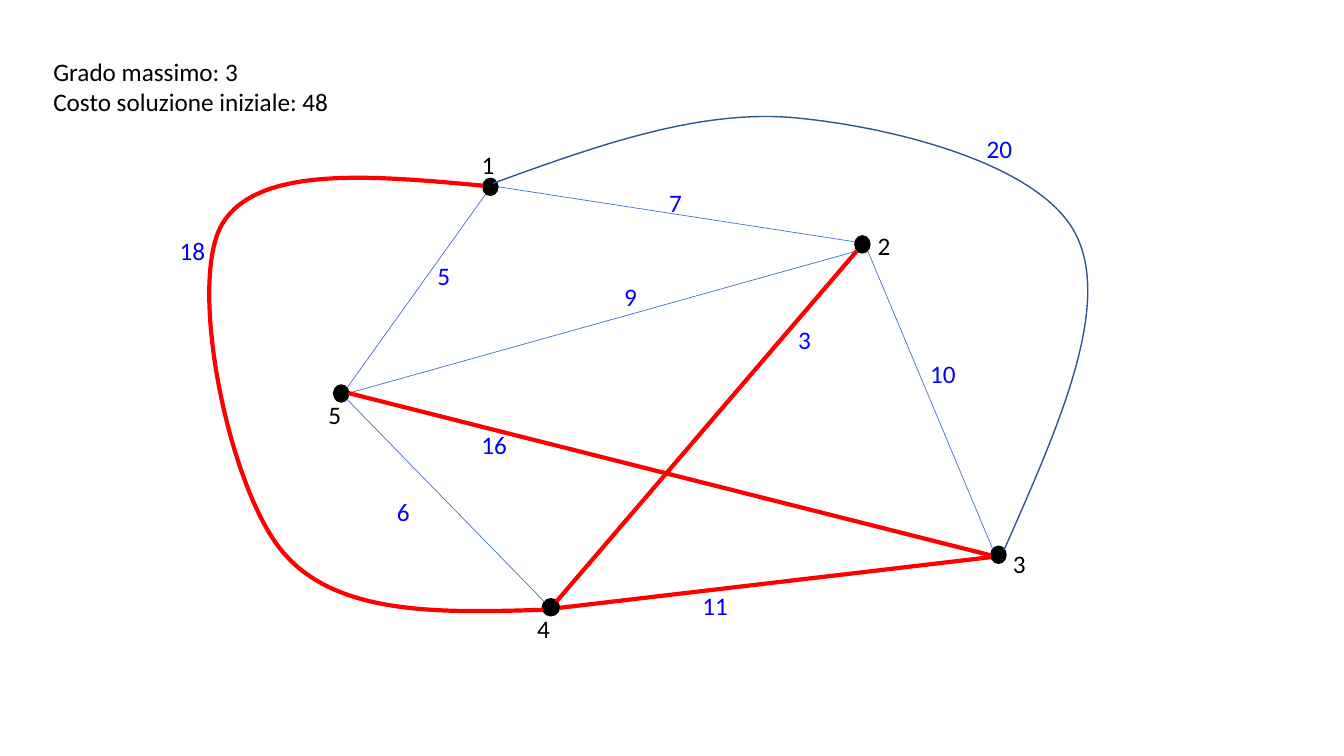
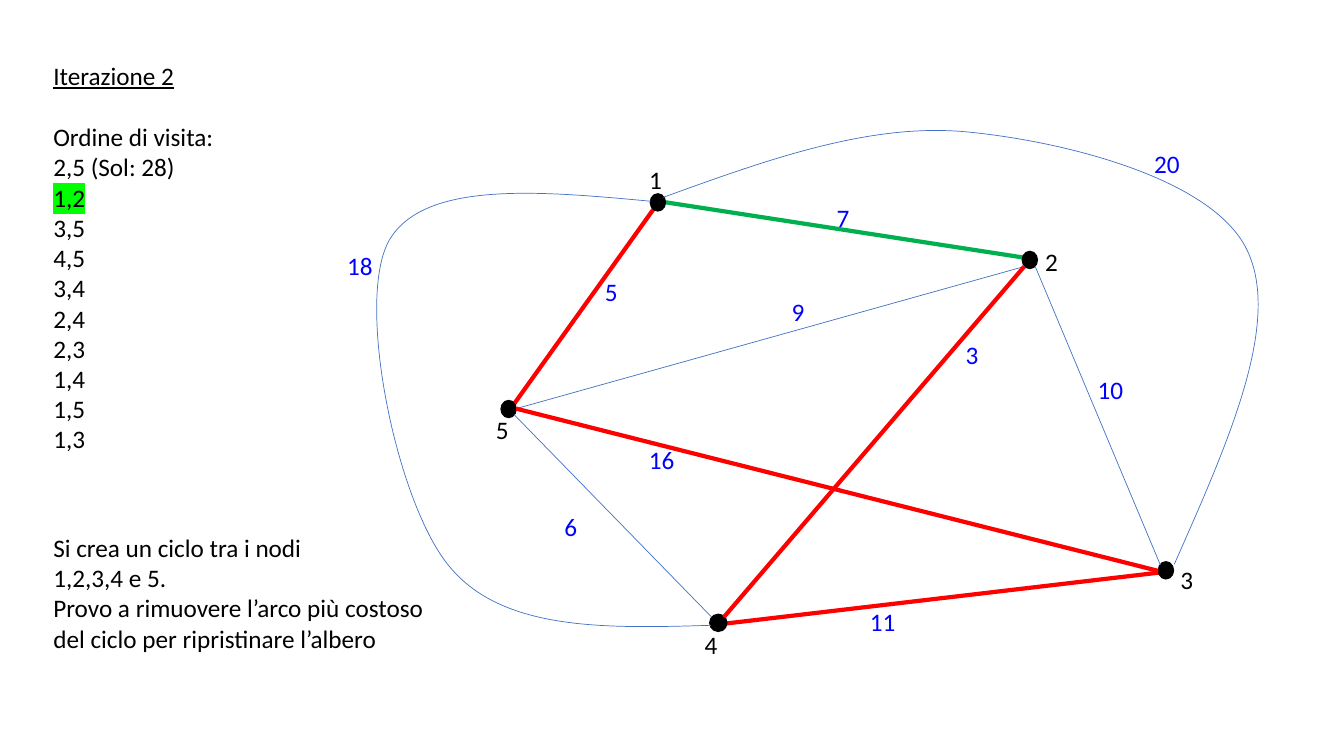
from lxml.etree import SubElement
from pptx import Presentation
from pptx.dml.color import RGBColor
from pptx.enum.shapes import MSO_CONNECTOR, MSO_SHAPE
from pptx.enum.text import MSO_AUTO_SIZE
from pptx.oxml.ns import qn
from pptx.util import Pt

BLACK = RGBColor(0x00, 0x00, 0x00)
COST_BLUE = RGBColor(0x00, 0x00, 0xFF)
EDGE_BLUE = RGBColor(0x44, 0x72, 0xC4)
DARK_BLUE = RGBColor(0x32, 0x54, 0x91)
RED = RGBColor(0xFF, 0x00, 0x00)
GREEN = RGBColor(0x00, 0xB0, 0x50)
HIGHLIGHT = "00FF00"

FONT = "Calibri"
FONT_SIZE = 18
LINE_HEIGHT = 22
LABEL_HEIGHT = 29.08
LABEL_WIDTHS = {1: 23.8, 2: 33.1}

# Edge styles: colour and width
PLAIN = (EDGE_BLUE, 0.5)
OUTLINED = (DARK_BLUE, 1)
CHOSEN = (RED, 3)
ADDED = (GREEN, 3)

# Node: left, top, width, then left and top of its label
NODES = {
    "1": (344.9, 127.4, 10.8, 337, 103),
    "2": (610.6, 168.5, 10.8, 619.9, 161.3),
    "3": (707.8, 390.2, 10.8, 716.4, 388.1),
    "4": (387.4, 427.7, 12.2, 376.6, 434.9),
    "5": (238.3, 275, 10.8, 227.5, 281.5),
}
NODE_HEIGHT = 12.2
START_CAP = (345.6, 128.2, 5.8, 10.1)

# Edge: cost, left and top of the cost, then end points;
# more than two points are cubic curves
BACK_EDGES = {
    "3,4": ("11", 494.6, 418.3, [(399.6, 434.2), (718.6, 396.7)]),
    "1,5": ("5", 305.3, 182.7, [(347.8, 137.5), (246.2, 279.4)]),
    "1,2": ("7", 470.9, 130.2, [(349.9, 132.5), (615.6, 173.5)]),
}
FRONT_EDGES = {
    "2,3": ("10", 657.4, 252.7, [(619.9, 179.3), (709.2, 392.4)]),
    "4,5": ("6", 276.5, 350.8, [(247.7, 285.1), (388.8, 429.8)]),
    "2,5": ("9", 438.7, 197.3, [(249.1, 280.8), (612, 179.3)]),
    "2,4": ("3", 563, 228.1, [(397.4, 429.8), (612, 179.3)]),
    "1,4": ("18", 121.2, 164.2, [
        (350.6, 133.2), (267.1, 125.3), (183.6, 117.4), (158.4, 160.6),
        (133.9, 203.8), (163.4, 348.5), (201.6, 393.8),
        (239.8, 439.9), (313.9, 437.8), (388.1, 435.6)]),
    "3,5": ("16", 336.8, 303.1, [(249.1, 280.8), (707.8, 396.7)]),
    "1,3": ("20", 697.7, 91.4, [
        (352.1, 131), (425.5, 104.4), (499, 77.8), (568.1, 84.2),
        (637.9, 90.7), (744.5, 117.4), (769, 168.5),
        (794.2, 220.3), (755.3, 306.7), (717.1, 393.1)]),
}

# Bounds of the curved edges: left, top, width, height
CURVE_BOUNDS = {
    "1,4": (149.8, 126.7, 239, 309.6),
    "1,3": (352.1, 83.5, 424.8, 309.6),
}

# Text block: left, top, width, height, lines
SUMMARY = (31, 36.7, 213.1, 51.1,
           ["Grado massimo: 3", "Costo soluzione iniziale: 48"])
VISIT_ORDER = (31, 39.6, 130.3, 312.5, [
    "Iterazione 2", "Ordine di visita:", "2,5 (Sol: 28)", "1,2", "3,5", "4,5",
    "3,4", "2,4", "2,3", "1,4", "1,5", "1,3"])
CYCLE_NOTE = (31, 376.6, 281.5, 94.3, [
    "Si crea un ciclo tra i nodi", "1,2,3,4 e 5.",
    "Provo a rimuovere l’arco più costoso",
    "del ciclo per ripristinare l’albero"])

INITIAL_STYLES = {"3,4": CHOSEN, "2,4": CHOSEN, "3,5": CHOSEN,
                  "1,4": CHOSEN, "1,3": OUTLINED}
ITERATION_STYLES = {"3,4": CHOSEN, "2,4": CHOSEN, "3,5": CHOSEN,
                    "1,5": CHOSEN, "1,2": ADDED}
ITERATION_SHIFT = (119.6, 11.1)
ITERATION_EDGE_SHIFTS = {"1,3": (121.7, 10)}


def add_text(slide, left, top, width, height, lines, color=BLACK):
    """Add an unwrapped block with one paragraph per line."""
    block = slide.shapes.add_textbox(Pt(left), Pt(top), Pt(width), Pt(height))
    frame = block.text_frame
    frame.word_wrap = False
    frame.auto_size = MSO_AUTO_SIZE.SHAPE_TO_FIT_TEXT
    frame.text = "\n".join(lines)
    for paragraph in frame.paragraphs:
        paragraph.font.name = FONT
        paragraph.font.size = Pt(FONT_SIZE)
        paragraph.font.color.rgb = color
    return frame.paragraphs


def add_label(slide, text, left, top, color):
    """Add a number beside a node or an edge."""
    add_text(slide, left, top, LABEL_WIDTHS[len(text)], LABEL_HEIGHT, [text], color)


def add_dot(slide, left, top, width, height):
    """Add a black ellipse."""
    dot = slide.shapes.add_shape(
        MSO_SHAPE.OVAL, Pt(left), Pt(top), Pt(width), Pt(height))
    dot.shadow.inherit = False
    dot.fill.solid()
    dot.fill.fore_color.rgb = BLACK
    dot.line.color.rgb = BLACK
    dot.line.width = Pt(1)


def add_curve(slide, controls, bounds):
    """Add joined cubic curves whose frame is the given bounds."""
    start, *others = [(Pt(x), Pt(y)) for x, y in controls]
    builder = slide.shapes.build_freeform(*start)
    builder.add_line_segments(others, close=False)
    curve = builder.convert_to_shape()
    left, top, width, height = [Pt(value) for value in bounds]
    dx, dy = curve.left - left, curve.top - top
    outline = next(curve._element.iter(qn("a:path")))
    outline.set("w", str(width))
    outline.set("h", str(height))
    for point in outline.iter(qn("a:pt")):
        point.set("x", str(int(point.get("x")) + dx))
        point.set("y", str(int(point.get("y")) + dy))
    segments = outline.findall(qn("a:lnTo"))
    for first in range(0, len(segments), 3):
        cubic = SubElement(outline, qn("a:cubicBezTo"))
        for segment in segments[first:first + 3]:
            cubic.append(segment[0])
            outline.remove(segment)
    curve.left, curve.top, curve.width, curve.height = left, top, width, height
    curve.fill.background()
    return curve


def add_edge(slide, name, points, style, shift):
    """Add a straight or curved edge, moved by shift."""
    dx, dy = shift
    moved = [(x + dx, y + dy) for x, y in points]
    if name in CURVE_BOUNDS:
        left, top, width, height = CURVE_BOUNDS[name]
        edge = add_curve(slide, moved, (left + dx, top + dy, width, height))
    else:
        ends = [Pt(value) for point in moved for value in point]
        edge = slide.shapes.add_connector(MSO_CONNECTOR.STRAIGHT, *ends)
    color, width = style
    edge.line.color.rgb = color
    edge.line.width = Pt(width)
    SubElement(edge._element.spPr, qn("a:effectLst"))


def add_graph(slide, styles, shift=(0, 0), edge_shifts={}):
    """Draw the weighted graph, moved by shift."""
    dx, dy = shift

    def add_edges(edges):
        """Draw one layer of edges."""
        for name, (_, _, _, points) in edges.items():
            add_edge(slide, name, points, styles.get(name, PLAIN),
                     edge_shifts.get(name, shift))

    add_edges(BACK_EDGES)
    for left, top, width, _, _ in NODES.values():
        add_dot(slide, left + dx, top + dy, width, NODE_HEIGHT)
    add_edges(FRONT_EDGES)
    cap_left, cap_top, cap_width, cap_height = START_CAP
    add_dot(slide, cap_left + dx, cap_top + dy, cap_width, cap_height)

    for node, (_, _, _, left, top) in NODES.items():
        add_label(slide, node, left + dx, top + dy, BLACK)
    for cost, left, top, _ in (BACK_EDGES | FRONT_EDGES).values():
        add_label(slide, cost, left + dx, top + dy, COST_BLUE)


def highlight(run):
    """Give a run a coloured background."""
    mark = SubElement(run._r.get_or_add_rPr(), qn("a:highlight"))
    SubElement(mark, qn("a:srgbClr"), val=HIGHLIGHT)


presentation = Presentation()
presentation.slide_width = Pt(960)
presentation.slide_height = Pt(540)
blank = presentation.slide_layouts[6]

initial = presentation.slides.add_slide(blank)
add_graph(initial, INITIAL_STYLES)
add_text(initial, *SUMMARY)

iteration = presentation.slides.add_slide(blank)
add_graph(iteration, ITERATION_STYLES, ITERATION_SHIFT, ITERATION_EDGE_SHIFTS)
heading, visit_title, _, current_edge, *_ = add_text(iteration, *VISIT_ORDER)
heading.runs[0].font.underline = True
visit_title.space_before = Pt(LINE_HEIGHT)
highlight(current_edge.runs[0])
add_text(iteration, *CYCLE_NOTE)

presentation.save("out.pptx")
